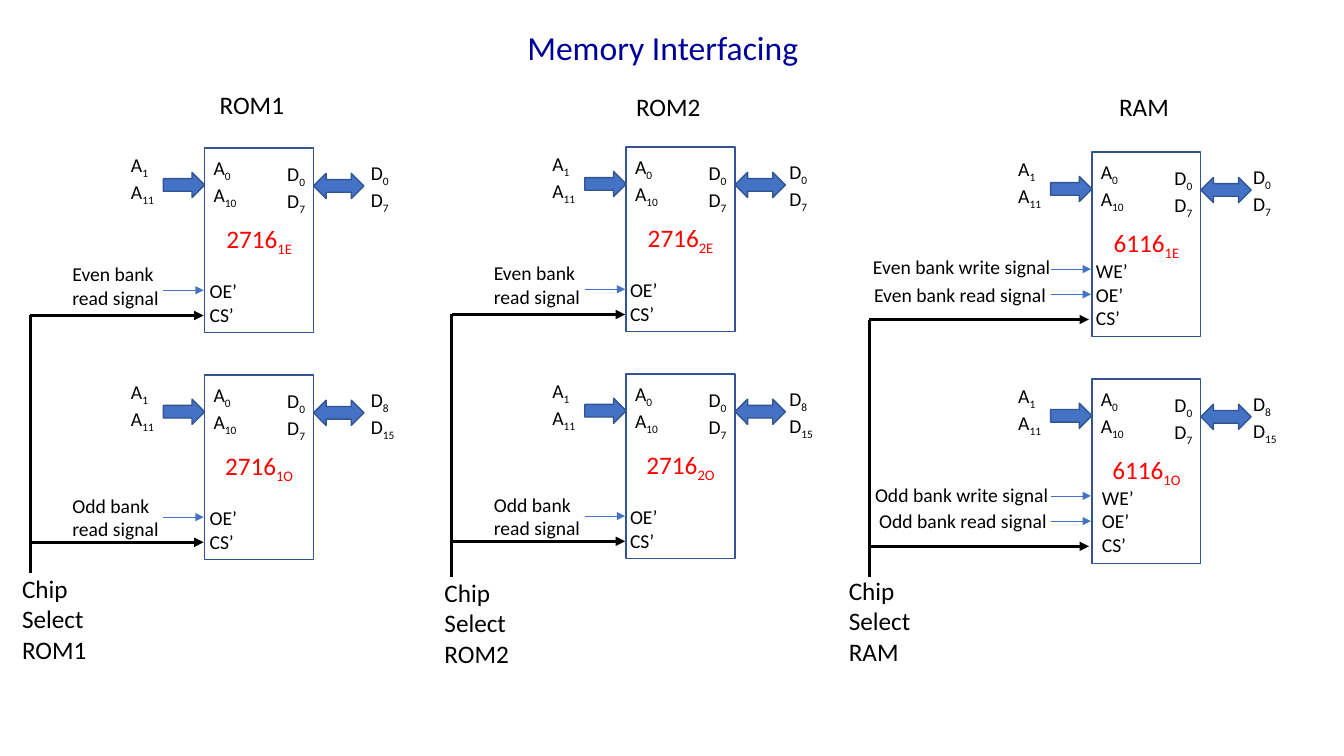
"""Build the Memory Interfacing slide: ROM and RAM banks with buses and chip selects."""
from lxml.etree import SubElement
from pptx import Presentation
from pptx.dml.color import RGBColor
from pptx.enum.shapes import MSO_CONNECTOR, MSO_SHAPE
from pptx.enum.text import MSO_ANCHOR, MSO_AUTO_SIZE, PP_ALIGN
from pptx.oxml.ns import qn
from pptx.util import Inches, Pt

COLORS = {"title": "000099", "text": "000000", "part": "FF0000",
          "bus": "4472C4", "outline": "325491", "select": "000000"}
FONT = "Calibri"
TITLE = "Memory Interfacing"
ADDRESS_LINES, ADDRESS_PINS = ("A_1", "A_11"), ("A_0", "A_10")
DATA_PINS = ("D_0", "D_7")
DATA_BANKS = ((("D_0", "D_7"), 0.41), (("D_8", "D_15"), 0.48))

MEMORIES = [
    {"name": "ROM1", "chip": (2.03, 1.47), "heading": (2.08, 0.84),
     "parts": ("2716_1E", "2716_1O"), "pins": ("OE’", "CS’"), "pins_width": 0.51,
     "pins_left": (1.98, 1.98), "data_left": 3.58,
     "select": (0.12, 5.64), "bus": (0.3, 5.68), "select_gap": 0.01,
     "signals": [("Even bank read signal", 0.62, 2.55, 1.1, 0.57),
                 ("Odd bank read signal", 0.62, 4.85, 1.1, 0.57)]},
    {"name": "ROM2", "chip": (6.21, 1.46), "heading": (6.21, 0.86),
     "parts": ("2716_2E", "2716_2O"), "pins": ("OE’", "CS’"), "pins_width": 0.51,
     "pins_left": (6.15, 6.15), "data_left": 7.73,
     "select": (4.31, 5.68), "bus": (4.48, 5.72), "select_gap": 0.01,
     "signals": [("Even bank read signal", 4.8, 2.54, 1.1, 0.57),
                 ("Odd bank read signal", 4.8, 4.84, 1.1, 0.57)]},
    {"name": "RAM", "chip": (10.83, 1.51), "heading": (11, 0.86),
     "parts": ("6116_1E", "6116_1O"), "pins": ("WE’", "OE’", "CS’"), "pins_width": 0.55,
     "pins_left": (10.77, 10.83), "data_left": 12.33,
     "select": (8.32, 5.66), "bus": (8.62, 5.72), "select_gap": 0.03,
     "signals": [("Even bank write signal", 8.56, 2.48, 1.98, 0.34),
                 ("Even bank read signal", 8.57, 2.76, 1.98, 0.34),
                 ("Odd bank write signal", 8.58, 4.74, 1.98, 0.34),
                 ("Odd bank read signal", 8.62, 5, 1.89, 0.34)]},
]
CHIP_WIDTH, CHIP_HEIGHT, BANK_PITCH = 1.08, 1.83, 2.25
SELECT_DROP, PIN_PITCH = 1.66, 0.25
SIGNAL_LENGTH = 0.41


def color(key):
    return RGBColor.from_string(COLORS[key])


def write(shape, *lines, size=14, ink="text", align=PP_ALIGN.LEFT,
          anchor=MSO_ANCHOR.TOP, wrap=True, grow=True):
    """Fill a shape with lines, setting what follows an underscore as a subscript."""
    frame = shape.text_frame
    frame.word_wrap = wrap
    frame.vertical_anchor = anchor
    frame.auto_size = MSO_AUTO_SIZE.SHAPE_TO_FIT_TEXT if grow else MSO_AUTO_SIZE.NONE
    for number, line in enumerate(lines):
        paragraph = frame.paragraphs[0] if number == 0 else frame.add_paragraph()
        paragraph.alignment = align
        base, _, subscript = line.partition("_")
        for text, baseline in ((base, None), (subscript, "-25000")):
            if not text:
                continue
            run = paragraph.add_run()
            run.text = text
            run.font.size, run.font.name = Pt(size), FONT
            run.font.color.rgb = color(ink)
            if baseline:
                run._r.get_or_add_rPr().set("baseline", baseline)


def add_label(slide, left, top, width, height, *lines, **text_format):
    box = slide.shapes.add_textbox(*map(Inches, (left, top, width, height)))
    write(box, *lines, **text_format)


def add_block(slide, kind, left, top, width, height, fill=None):
    block = slide.shapes.add_shape(kind, *map(Inches, (left, top, width, height)))
    block.shadow.inherit = False
    if fill:
        block.fill.solid()
        block.fill.fore_color.rgb = color(fill)
    else:
        block.fill.background()
    block.line.color.rgb = color("outline")
    block.line.width = Pt(1)
    return block


def add_wire(slide, start, end, ink, weight, arrow=True):
    wire = slide.shapes.add_connector(MSO_CONNECTOR.STRAIGHT, *map(Inches, (*start, *end)))
    wire.line.color.rgb = color(ink)
    wire.line.width = Pt(weight)
    if arrow:
        SubElement(wire.line._get_or_add_ln(), qn("a:tailEnd"), type="triangle")
    SubElement(wire._element.spPr, qn("a:effectLst"))


def add_bank(slide, memory, bank):
    """Draw one chip with its address, data, control and select lines."""
    left, top = memory["chip"][0], memory["chip"][1] + bank * BANK_PITCH
    right = left + CHIP_WIDTH
    chip = add_block(slide, MSO_SHAPE.RECTANGLE, left, top, CHIP_WIDTH, CHIP_HEIGHT)
    write(chip, memory["parts"][bank], size=18, ink="part", align=PP_ALIGN.CENTER,
          anchor=MSO_ANCHOR.MIDDLE, grow=False)
    add_block(slide, MSO_SHAPE.RIGHT_ARROW, left - 0.41, top + 0.24, 0.41, 0.25, "bus")
    add_block(slide, MSO_SHAPE.LEFT_RIGHT_ARROW, right, top + 0.25, 0.5, 0.25, "bus")

    data_lines, data_width = DATA_BANKS[bank]
    pins = memory["pins"]
    pins_height = 0.57 if len(pins) == 2 else 0.81
    for lines, x, y, width, height in (
            (ADDRESS_LINES, left - 0.83, top, 0.46, 0.57),
            (ADDRESS_PINS, left - 0.01, top + 0.03, 0.46, 0.57),
            (DATA_PINS, right - 0.36, top + 0.09, 0.41, 0.57),
            (data_lines, memory["data_left"], top + 0.08, data_width, 0.57),
            (pins, memory["pins_left"][bank], top + 1.82 - pins_height,
             memory["pins_width"], pins_height)):
        add_label(slide, x, y, width, height, *lines, wrap=False)

    select_y = top + SELECT_DROP
    for step in range(1, len(pins)):
        signal_y = select_y - step * PIN_PITCH
        add_wire(slide, (left - SIGNAL_LENGTH, signal_y), (left - 0.01, signal_y), "bus", 0.5)
    add_wire(slide, (memory["bus"][0], select_y), (left - memory["select_gap"], select_y),
             "select", 2.25)


def add_memory(slide, memory):
    """Draw a heading, two banks and the chip select line that joins them."""
    add_label(slide, *memory["heading"], 1.08, 0.4, memory["name"], size=18)
    for bank in range(len(memory["parts"])):
        add_bank(slide, memory, bank)
    bus_x, bus_end = memory["bus"]
    add_wire(slide, (bus_x, memory["chip"][1] + SELECT_DROP), (bus_x, bus_end),
             "select", 2.25, arrow=False)
    add_label(slide, *memory["select"], 0.99, 1.01, f"Chip Select {memory['name']}", size=18)
    for signal, *place in memory["signals"]:
        add_label(slide, *place, signal)


def main():
    deck = Presentation()
    deck.slide_width, deck.slide_height = Inches(13.33), Inches(7.5)
    slide = deck.slides.add_slide(deck.slide_layouts[5])
    title = slide.shapes.title
    title.left, title.top, title.width, title.height = map(Inches, (5.13, 0.22, 3.01, 0.51))
    write(title, TITLE, size=24, ink="title")
    for memory in MEMORIES:
        add_memory(slide, memory)
    deck.save("out.pptx")


if __name__ == "__main__":
    main()
